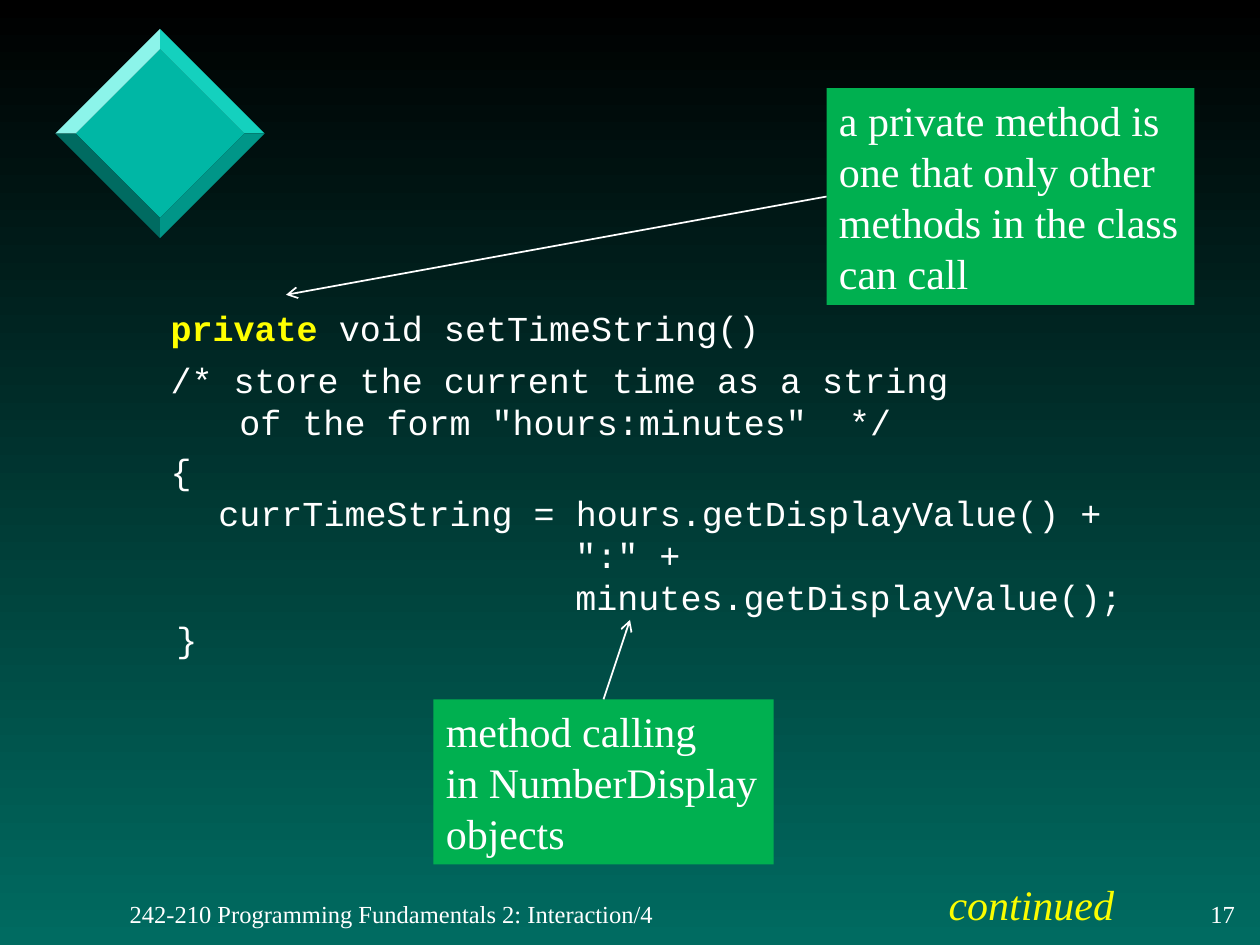
from lxml.etree import SubElement
from pptx import Presentation
from pptx.dml.color import RGBColor
from pptx.enum.shapes import MSO_CONNECTOR, MSO_SHAPE
from pptx.enum.text import MSO_ANCHOR, PP_ALIGN
from pptx.oxml.ns import qn
from pptx.util import Inches, Pt

BLACK = RGBColor(0x00, 0x00, 0x00)
WHITE = RGBColor(0xFF, 0xFF, 0xFF)
YELLOW = RGBColor(0xFF, 0xFF, 0x00)
GOLD = RGBColor(0xFA, 0xFD, 0x00)
GREEN = RGBColor(0x00, 0xB0, 0x50)
DEEP_TEAL = RGBColor(0x00, 0x6B, 0x61)
TEAL = RGBColor(0x00, 0xB7, 0xA5)
FACETS = [RGBColor(0x14, 0xD1, 0xBE), RGBColor(0x00, 0x96, 0x88),
          DEEP_TEAL, RGBColor(0x8C, 0xF4, 0xEA)]
SERIF, MONO = "Times New Roman", "Courier New"

CHARACTER = 1 / 6
MARGIN = 0.38
OPENING = 2 * CHARACTER
CODE = [
    (OPENING, 0, [("private", YELLOW, True), (" void setTimeString()", WHITE, False)]),
    (OPENING, 6, [("/* store the current time as a string", WHITE, False)]),
    (MARGIN + 3 * CHARACTER, 0, [('of the form "hours:minutes"  */', WHITE, False)]),
    (OPENING, 4, [("{", WHITE, False)]),
    (MARGIN + 2 * CHARACTER, 0,
     [("currTimeString = hours.getDisplayValue() +", WHITE, False)]),
    (MARGIN + 19 * CHARACTER, 0, [('":" +', WHITE, False)]),
    (MARGIN + 19 * CHARACTER, 0, [("minutes.getDisplayValue();", WHITE, False)]),
    (MARGIN, 0, [("}", WHITE, False)]),
]
CALLOUTS = [
    (["a private method is", "one that only other", "methods in the class", "can call"],
     (6.56, 0.7, 2.92, 1.72), 1, (2.27, 2.34)),
    (["method calling", "in NumberDisplay", "objects"],
     (3.44, 5.55, 2.7, 1.31), 0, (5, 4.92)),
]
LABELS = [
    ("242-210 Programming Fundamentals 2: Interaction/4",
     (0.93, 7.09, 4.39, 0.33), 14, WHITE, False, PP_ALIGN.LEFT),
    ("17", (9.48, 7.09, 0.42, 0.33), 14, WHITE, False, PP_ALIGN.RIGHT),
    ("continued", (7.43, 6.92, 1.52, 0.51), 24, GOLD, True, PP_ALIGN.LEFT),
]
DIAMOND_CENTRE = (1.27, 1.06)
OUTER, INNER = 0.83, 0.67


def add_span(para, text, font, size, color, bold=False, italic=False):
    span = para.add_run()
    span.text = text
    span.font.name = font
    span.font.size = Pt(size)
    span.font.color.rgb = color
    span.font.bold = bold
    span.font.italic = italic


def next_para(frame, index):
    return frame.add_paragraph() if index else frame.paragraphs[0]


def add_polygon(page, points, color):
    corners = [(Inches(x), Inches(y)) for x, y in points]
    builder = page.shapes.build_freeform(*corners[0])
    builder.add_line_segments(corners[1:], close=True)
    polygon = builder.convert_to_shape()
    polygon.shadow.inherit = False
    polygon.fill.solid()
    polygon.fill.fore_color.rgb = color
    polygon.line.fill.background()


def add_diamond(page):
    x, y = DIAMOND_CENTRE
    outer, inner = ([(x, y - r), (x + r, y), (x, y + r), (x - r, y)]
                    for r in (OUTER, INNER))
    add_polygon(page, inner, TEAL)
    for side, color in enumerate(FACETS):
        after = (side + 1) % 4
        add_polygon(page, [outer[side], outer[after], inner[after], inner[side]], color)


def add_code(page):
    body = page.placeholders[1]
    body.left, body.top, body.width, body.height = map(Inches, (0.92, 2.17, 8.85, 4.5))
    frame = body.text_frame
    frame.margin_top = Inches(0.26)
    frame.vertical_anchor = MSO_ANCHOR.TOP
    for index, (indent, before, spans) in enumerate(CODE):
        para = next_para(frame, index)
        para.space_before = Pt(before)
        para.line_spacing = Pt(24)
        properties = para._p.get_or_add_pPr()
        properties.set("marL", str(Inches(indent)))
        properties.set("indent", "0")
        SubElement(properties, qn("a:buNone"))
        for text, color, bold in spans:
            add_span(para, text, MONO, 20, color, bold)


def add_callout(page, lines, place, side, target):
    box = page.shapes.add_shape(MSO_SHAPE.RECTANGLE, *map(Inches, place))
    box.shadow.inherit = False
    box.fill.solid()
    box.fill.fore_color.rgb = GREEN
    box.line.fill.background()
    frame = box.text_frame
    frame.word_wrap = False
    frame.vertical_anchor = MSO_ANCHOR.TOP
    for index, text in enumerate(lines):
        para = next_para(frame, index)
        para.alignment = PP_ALIGN.LEFT
        para.line_spacing = Pt(29)
        add_span(para, text, SERIF, 24, WHITE)

    end = tuple(map(Inches, target))
    arrow = page.shapes.add_connector(MSO_CONNECTOR.STRAIGHT, *end, *end)
    arrow.begin_connect(box, side)
    arrow.line.color.rgb = WHITE
    arrow.line.width = Pt(1)
    SubElement(arrow.line._get_or_add_ln(), qn("a:tailEnd"), type="arrow")
    SubElement(arrow._element.spPr, qn("a:effectLst"))


def add_label(page, text, place, size, color, italic, alignment):
    box = page.shapes.add_textbox(*map(Inches, place))
    frame = box.text_frame
    frame.word_wrap = True
    frame.vertical_anchor = MSO_ANCHOR.MIDDLE
    para = frame.paragraphs[0]
    para.alignment = alignment
    add_span(para, text, SERIF, size, color, italic=italic)


def main():
    deck = Presentation()
    deck.slide_width, deck.slide_height = Inches(10), Inches(7.5)
    page = deck.slides.add_slide(deck.slide_layouts[1])
    title = page.shapes.title._element
    title.getparent().remove(title)

    fill = page.background.fill
    fill.gradient()
    fill.gradient_angle = 270
    for stop, position, color in zip(fill.gradient_stops, (0, 1), (BLACK, DEEP_TEAL)):
        stop.position = position
        stop.color.rgb = color

    add_diamond(page)
    add_code(page)
    for callout in CALLOUTS:
        add_callout(page, *callout)
    for label in LABELS:
        add_label(page, *label)
    deck.save("out.pptx")


if __name__ == "__main__":
    main()
